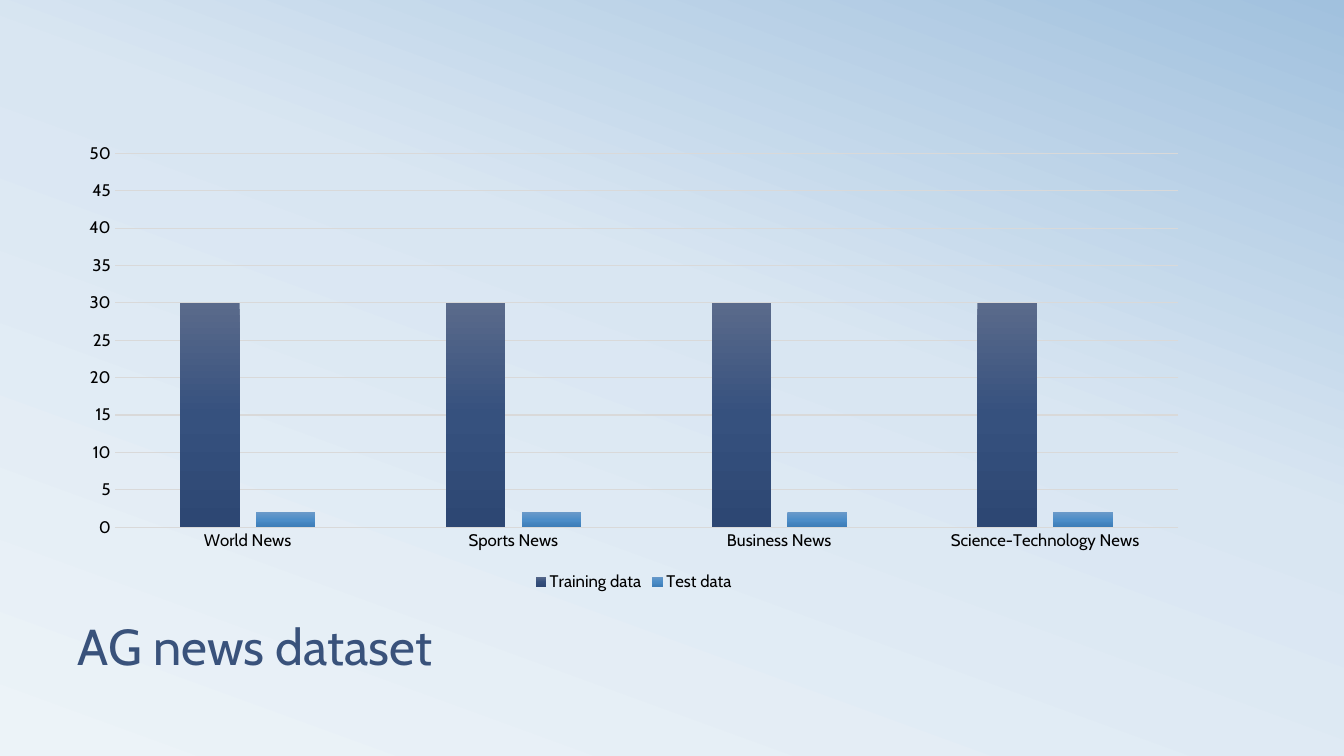
"""Build a slide with a column chart of the AG news dataset."""
from lxml import etree
from pptx import Presentation
from pptx import util as u
from pptx.chart import data as cd
from pptx.dml import color as dml
from pptx.enum import chart as ch, text as tx
from pptx.oxml import ns


def paint(font, size, tint):
    font.name = "Cabin"
    font.size = u.Pt(size)
    font.color.rgb = dml.RGBColor.from_string(tint)


def blend(fill, root, angle, stops):
    fill.gradient()
    fill.gradient_angle = angle
    items = root.find(".//" + ns.qn("a:gsLst"))
    for old in list(items):
        items.remove(old)
    for pos, tint in stops:
        stop = etree.SubElement(items, ns.qn("a:gs"), pos=str(pos * 1000))
        etree.SubElement(stop, ns.qn("a:srgbClr"), val=tint)


deck = Presentation()
deck.slide_width, deck.slide_height = u.Cm(33.87), u.Cm(19.05)
slide = deck.slides.add_slide(deck.slide_layouts[5])
blend(slide.background.fill, slide.element, 70,
      [(0, "ECF3F8"), (58, "D9E6F2"), (100, "A1C1DE")])

title = slide.shapes.title
title.left, title.top = u.Cm(1.7), u.Cm(14.17)
title.width, title.height = u.Cm(30.48), u.Cm(2.97)
frame = title.text_frame
frame.word_wrap = True
frame.auto_size = tx.MSO_AUTO_SIZE.NONE
frame.vertical_anchor = tx.MSO_ANCHOR.BOTTOM
para = frame.paragraphs[0]
para.alignment = tx.PP_ALIGN.LEFT
para.line_spacing = 0.8
run = para.add_run()
run.text = "AG news dataset"
paint(run.font, 36, "39527B")

data = cd.CategoryChartData()
data.categories = ["World News", "Sports News", "Business News",
                   "Science-Technology News"]
data.add_series("Training data", [30] * 4)
data.add_series("Test data", [2] * 4)
chart = slide.shapes.add_chart(
    ch.XL_CHART_TYPE.COLUMN_CLUSTERED,
    u.Cm(1.68), u.Cm(3.38), u.Cm(28.58), u.Cm(11.63), data).chart
paint(chart.font, 10, "404040")
chart.has_title = False
chart.has_legend = True
chart.legend.position = ch.XL_LEGEND_POSITION.BOTTOM
chart.legend.include_in_layout = False
paint(chart.legend.font, 12, "000000")

plot = chart.plots[0]
plot.vary_by_categories = False
plot.gap_width, plot.overlap = 219, -27
shades = [("5A6A8B", "36517E", "2D4773"), ("6A9AC9", "4C8DC8", "3E7EB8")]
for bars, tints in zip(plot.series, shades):
    blend(bars.format.fill, bars._element, 270, zip((0, 50, 100), tints))

cats, vals = chart.category_axis, chart.value_axis
for axis in (cats, vals):
    axis.major_tick_mark = axis.minor_tick_mark = ch.XL_TICK_MARK.NONE
    paint(axis.tick_labels.font, 12, "000000")
vals.minimum_scale, vals.maximum_scale, vals.major_unit = 0, 50, 5
vals.has_major_gridlines = True
vals.format.line.fill.background()
for line in (cats.format.line, vals.major_gridlines.format.line):
    line.width = u.Pt(0.75)
    line.color.rgb = dml.RGBColor.from_string("D9D9D9")

deck.save("out.pptx")
